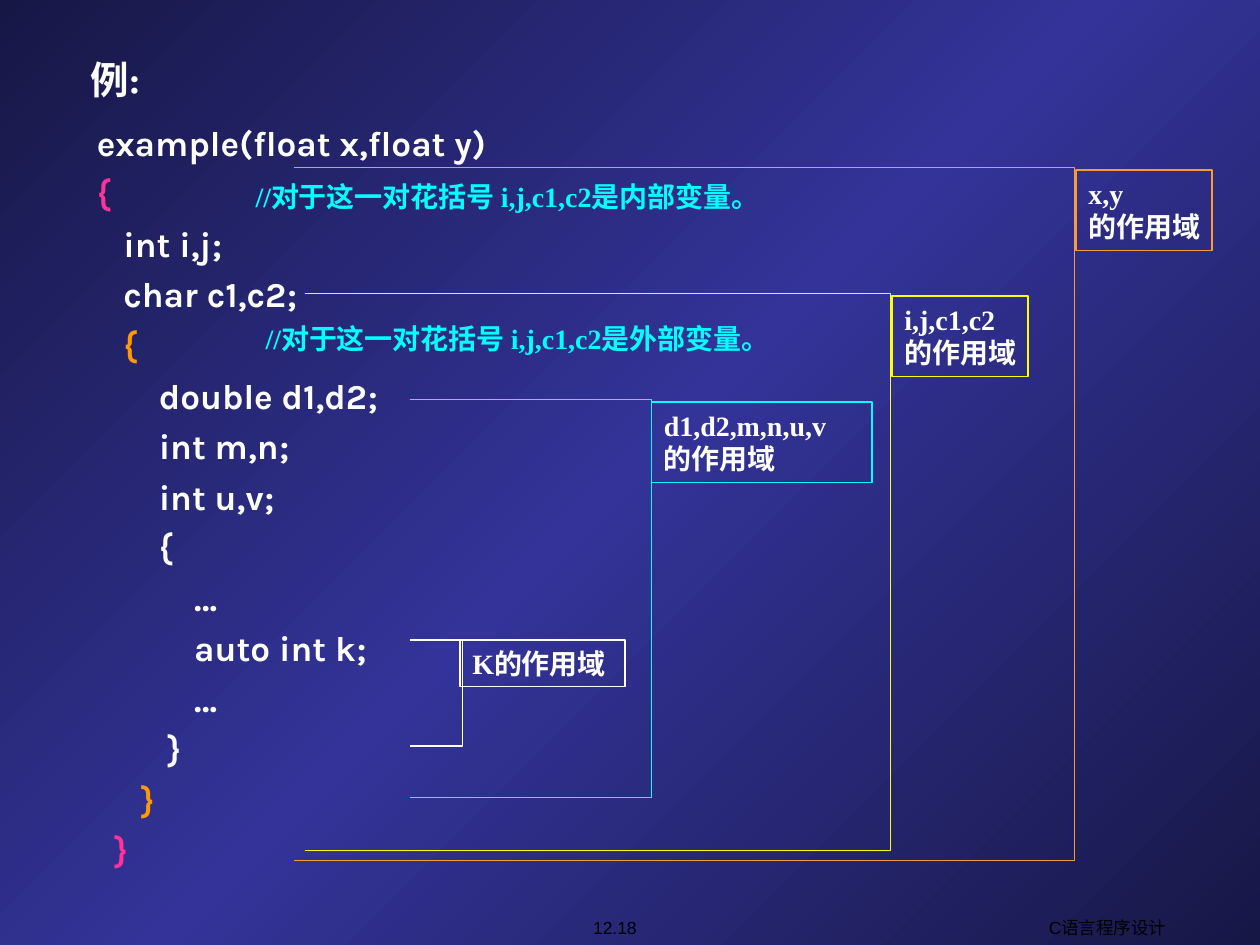
from copy import deepcopy

from pptx import Presentation
from pptx.dml.color import RGBColor as RGB
from pptx.enum.shapes import MSO_SHAPE as SHAPE
from pptx.enum.text import MSO_ANCHOR as ANCHOR, PP_ALIGN as ALIGN
from pptx.oxml.ns import qn
from pptx.util import Inches, Pt

COLORS = {
    "edge": "171746", "middle": "333399", "white": "FFFFFF", "black": "000000",
    "pink": "FF3399", "amber": "FF9900", "orange": "FF9933",
    "yellow": "FFFF00", "cyan": "00FFFF",
}

CODE = [
    ("example(float x,float y)", "white"),
    ("{", "pink"),
    ("   int i,j;", "white"),
    ("   char c1,c2;", "white"),
    ("   {", "amber"),
    ("       double d1,d2;", "white"),
    ("       int m,n;", "white"),
    ("       int u,v;", "white"),
    ("       {", "white"),
    ("           …", "white"),
    ("           auto int k;", "white"),
    ("           …", "white"),
    ("        }", "white"),
    ("     }", "amber"),
    ("  }", "pink"),
]

SCOPES = [
    (["K的作用域"], "white", (3.65, 5.08, 1.31, 0.37), (3.25, 5.08, 3.67, 5.92), False),
    (["d1,d2,m,n,u,v", "的作用域"], "cyan", (5.17, 3.19, 1.75, 0.64), (3.25, 3.17, 5.17, 6.33), True),
    (["i,j,c1,c2", "的作用域"], "yellow", (7.08, 2.35, 1.08, 0.64), (2.42, 2.33, 7.07, 6.75), False),
    (["x,y", "的作用域"], "orange", (8.54, 1.35, 1.08, 0.64), (2.33, 1.33, 8.53, 6.83), False),
]

COMMENTS = [
    ("//对于这一对花括号 i,j,c1,c2是内部变量。", 1.93, 1.38),
    ("//对于这一对花括号 i,j,c1,c2是外部变量。", 2.01, 2.5),
]

FOOTERS = [("12.18", 4.37, 1.02), ("C语言程序设计", 8.21, 1.16)]


class ScopeSlide:
    """Draws the elements of a variable-scope slide in one style."""

    def __init__(self, prs):
        self.s = prs.slides.add_slide(prs.slide_layouts[6])

    def color(self, name):
        return RGB.from_string(COLORS[name])

    def background(self):
        fill = self.s.background.fill
        fill.gradient()
        fill.gradient_angle = 135
        stops = self.s.element.find(".//" + qn("a:gsLst"))
        stops.insert(1, deepcopy(stops[0]))
        for stop, position, name in zip(fill.gradient_stops, (0, 0.5, 1), ("edge", "middle", "edge")):
            stop.position = position
            stop.color.rgb = self.color(name)

    def set_text(self, sp, lines, size, font, bold=True, align=ALIGN.LEFT,
                 anchor=ANCHOR.TOP, wrap=False, spacing=None, before=0):
        tf = sp.text_frame
        tf.word_wrap = wrap
        tf.vertical_anchor = anchor
        for i, (text, name) in enumerate(lines):
            p = tf.add_paragraph() if i else tf.paragraphs[0]
            p.text = text
            p.alignment = align
            p.line_spacing = spacing
            if i and before:
                p.space_before = Pt(before)
            p.font.size = Pt(size)
            p.font.name = font
            p.font.bold = bold
            p.font.color.rgb = self.color(name)

    def text(self, lines, box, size, font, **style):
        sp = self.s.shapes.add_textbox(*map(Inches, box))
        self.set_text(sp, lines, size, font, **style)

    def outline(self, sp, name):
        sp.shadow.inherit = False
        sp.fill.background()
        sp.line.color.rgb = self.color(name)
        sp.line.width = Pt(0.75)

    def label(self, lines, name, box, wrap):
        sp = self.s.shapes.add_shape(SHAPE.RECTANGLE, *map(Inches, box))
        self.outline(sp, name)
        self.set_text(sp, [(line, "white") for line in lines], 16, "Times New Roman", wrap=wrap)

    def bracket(self, name, bounds):
        left, top, right, bottom = map(Inches, bounds)
        builder = self.s.shapes.build_freeform(left, top)
        builder.add_line_segments([(right, top), (right, bottom), (left, bottom)], close=False)
        self.outline(builder.convert_to_shape(), name)


def main():
    prs = Presentation()
    prs.slide_width, prs.slide_height = Inches(10), Inches(7.5)
    slide = ScopeSlide(prs)
    slide.background()
    for text, left, width in FOOTERS:
        slide.text([(text, "black")], (left, 7.23, width, 0.27), 10, "Arial",
                   bold=False, align=ALIGN.CENTER, anchor=ANCHOR.MIDDLE)
    slide.text(CODE, (0.67, 0.88, 4, 6.05), 20, "Karla", wrap=True, spacing=1.1, before=2.5)
    for lines, name, box, bounds, wrap in SCOPES:
        slide.label(lines, name, box, wrap)
        slide.bracket(name, bounds)
    for text, left, top in COMMENTS:
        slide.text([(text, "cyan")], (left, top, 4.35, 0.37), 16, "Times New Roman")
    slide.text([("例:", "white")], (0.58, 0.42, 0.67, 0.42), 22, "Karla",
               align=ALIGN.CENTER, anchor=ANCHOR.MIDDLE)
    prs.save("out.pptx")


if __name__ == "__main__":
    main()
